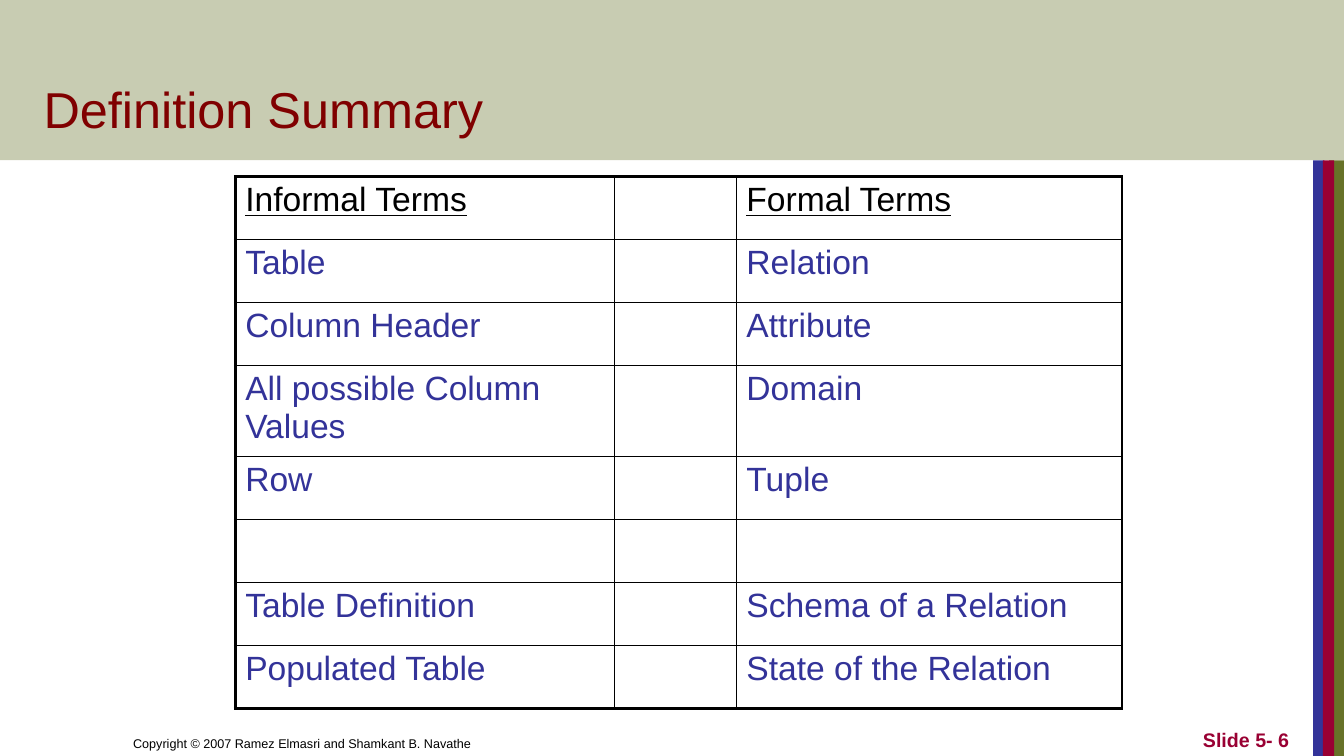
"""Build the Definition Summary slide with its table of terms."""
from lxml.etree import SubElement
from pptx import Presentation
from pptx.dml.color import RGBColor
from pptx.enum.shapes import MSO_SHAPE
from pptx.enum.text import MSO_ANCHOR, PP_ALIGN
from pptx.oxml.ns import qn
from pptx.util import Pt


def color(text):
    return RGBColor.from_string(text)


def style(para, size, shade, bold=False):
    para.font.name = "Arial"
    para.font.size = Pt(size)
    para.font.bold = bold
    para.font.color.rgb = color(shade)


deck = Presentation()
deck.slide_width, deck.slide_height = Pt(960), Pt(540)
slide = deck.slides.add_slide(deck.slide_layouts[6])

band = 114.5
bars = [
    (0, 0, 960, band, "C8CCB2"),
    (949.5, band, 10.5, 540 - band, "677228"),
    (938, band, 8, 540 - band, "333399"),
    (945, band, 8, 540 - band, "990033"),
]
for left, top, width, height, shade in bars:
    bar = slide.shapes.add_shape(
        MSO_SHAPE.RECTANGLE, Pt(left), Pt(top), Pt(width), Pt(height))
    bar.shadow.inherit = False
    bar.fill.solid()
    bar.fill.fore_color.rgb = color(shade)
    bar.line.fill.background()

labels = [
    ("Definition Summary", 24, 24, 818.5, 78.5, 36, "800000", False, PP_ALIGN.LEFT),
    ("Copyright © 2007 Ramez Elmasri and Shamkant B. Navathe",
     88, 504, 472, 36, 9, "000000", False, PP_ALIGN.LEFT),
    ("Slide 5- 6", 728, 504, 200, 36, 14, "990033", True, PP_ALIGN.RIGHT),
]
for text, left, top, width, height, size, shade, bold, align in labels:
    box = slide.shapes.add_textbox(Pt(left), Pt(top), Pt(width), Pt(height))
    frame = box.text_frame
    frame.word_wrap = True
    frame.vertical_anchor = MSO_ANCHOR.BOTTOM
    para = frame.paragraphs[0]
    para.text = text
    para.alignment = align
    style(para, size, shade, bold)

terms = [
    ("Informal Terms", "", "Formal Terms"),
    ("Table", "", "Relation"),
    ("Column Header", "", "Attribute"),
    ("All possible Column Values", "", "Domain"),
    ("Row", "", "Tuple"),
    ("", "", ""),
    ("Table Definition", "", "Schema of a Relation"),
    ("Populated Table", "", "State of the Relation"),
]
widths = [271, 87, 275.5]
heights = [45, 45, 45, 65, 45, 45, 45, 45]
table = slide.shapes.add_table(
    len(heights), len(widths), Pt(168), Pt(126),
    Pt(sum(widths)), Pt(sum(heights))).table
table.first_row = table.horz_banding = False
for col, width in zip(table.columns, widths):
    col.width = Pt(width)

for r, (row, height) in enumerate(zip(terms, heights)):
    table.rows[r].height = Pt(height)
    for c, text in enumerate(row):
        cell = table.cell(r, c)
        para = cell.text_frame.paragraphs[0]
        para.text = text
        style(para, 24, "333399" if r else "000000")
        para.font.underline = r == 0
        outer = {
            "L": c == 0,
            "R": c == len(widths) - 1,
            "T": r == 0,
            "B": r == len(heights) - 1,
        }
        props = cell._tc.get_or_add_tcPr()
        for side, edge in outer.items():
            line = SubElement(props, qn(f"a:ln{side}"), w=str(Pt(2.25 if edge else 1)))
            fill = SubElement(line, qn("a:solidFill"))
            SubElement(fill, qn("a:srgbClr"), val="000000")
        cell.fill.background()

deck.save("out.pptx")
